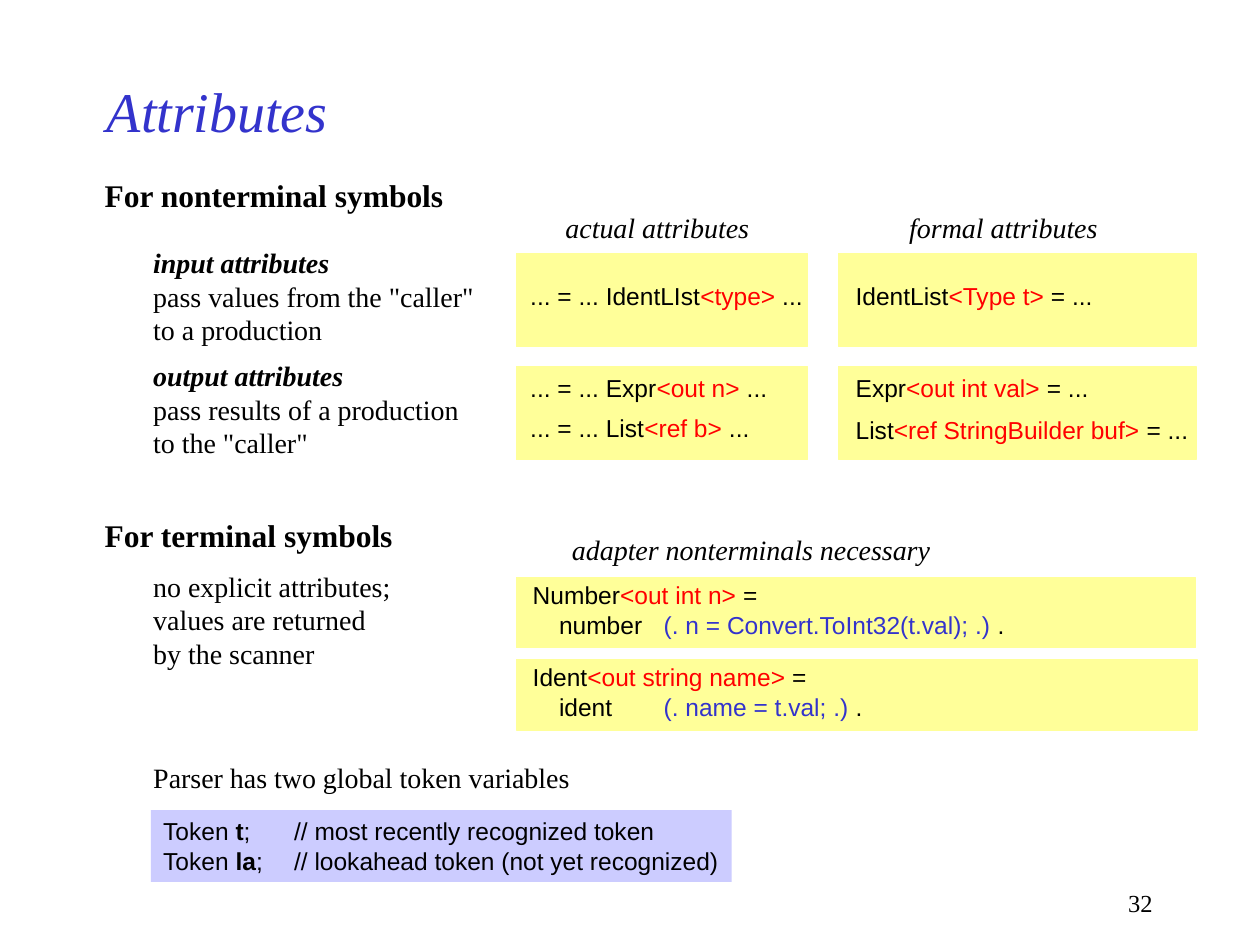
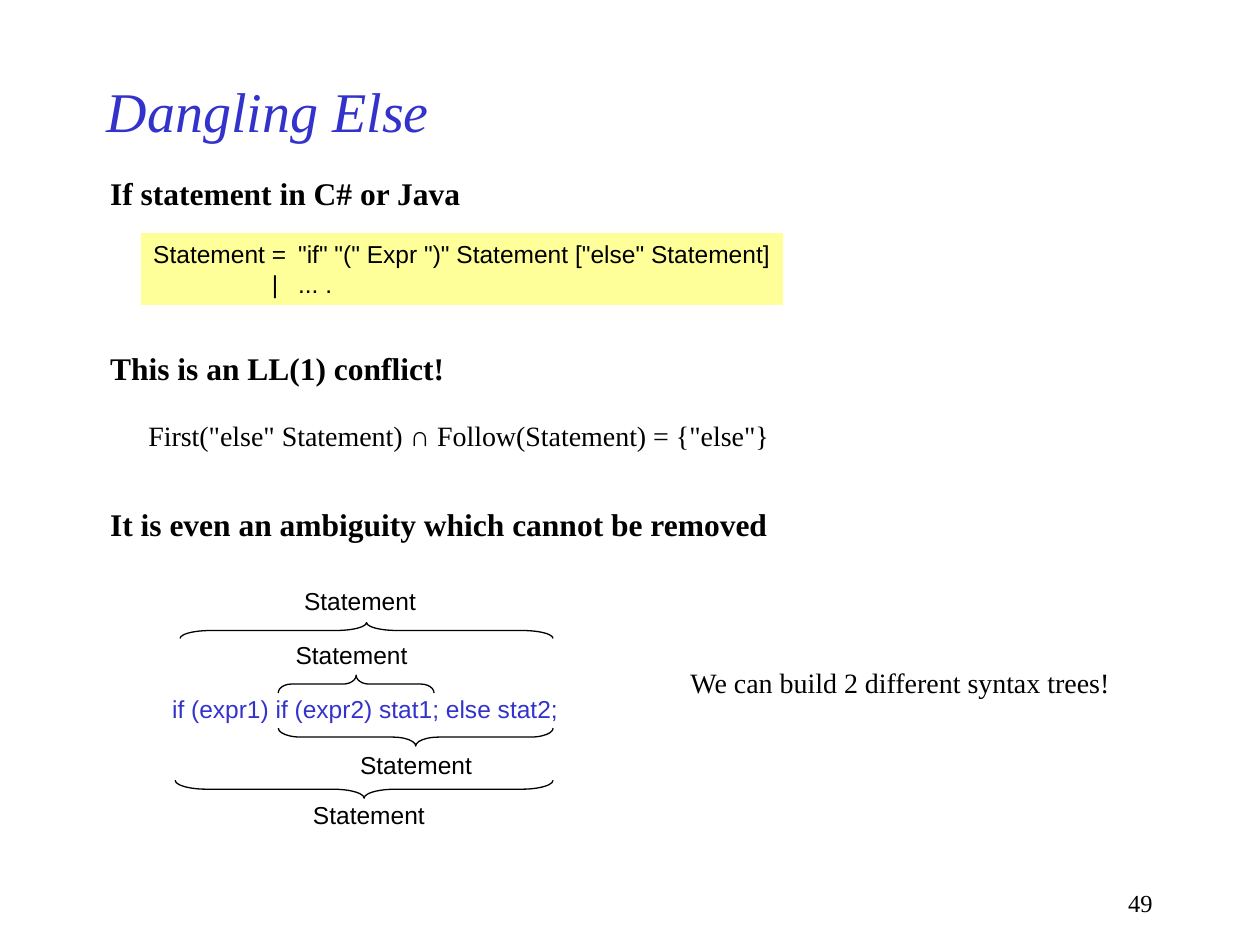
from dataclasses import dataclass
from typing import NamedTuple, Optional, Union

import pptx
import pptx.dml.color
import pptx.enum.shapes
import pptx.enum.text
import pptx.oxml.ns
import pptx.presentation
import pptx.slide
import pptx.text.text
import pptx.util
from lxml import etree

Cm = pptx.util.Cm
Pt = pptx.util.Pt
RGBColor = pptx.dml.color.RGBColor
MSO_SHAPE = pptx.enum.shapes.MSO_SHAPE
PP_ALIGN = pptx.enum.text.PP_ALIGN
MSO_AUTO_SIZE = pptx.enum.text.MSO_AUTO_SIZE

BLACK = RGBColor(0x00, 0x00, 0x00)
BLUE = RGBColor(0x33, 0x33, 0xCC)
RED = RGBColor(0xFF, 0x00, 0x00)
YELLOW = RGBColor(0xFF, 0xFF, 0x99)
LAVENDER = RGBColor(0xCC, 0xCC, 0xFF)

SERIF = "Times New Roman"
SANS = "Arial"
TITLE_ONLY_LAYOUT = 5


class Style(NamedTuple):
    font: str
    size: float
    line_height: float  # cm
    color: RGBColor = BLACK
    bold: bool = False
    italic: bool = False


TITLE = Style(SERIF, 32, 1.3, BLUE, italic=True)
HEADING = Style(SERIF, 18, 0.76, bold=True)
BODY = Style(SERIF, 16, 0.68)
NOTE = BODY._replace(italic=True)
TERM = NOTE._replace(bold=True)
CODE = Style(SANS, 14, 0.6)
CODE_BOLD = CODE._replace(bold=True)
ATTRIBUTE = CODE._replace(color=RED)
ACTION = CODE._replace(color=BLUE)
PAGE_NUMBER = Style(SERIF, 14, 0.6)


class Piece(NamedTuple):
    """A stretch of text that departs from the style of its block."""
    text: str
    style: Style


Line = list[Union[str, Piece]]


@dataclass
class TextBlock:
    left: float
    top: float
    width: float
    style: Style
    lines: list[Line]
    tabs: tuple[float, ...] = ()
    fill: Optional[RGBColor] = None


@dataclass
class Panel:
    left: float
    top: float
    width: float
    height: float


@dataclass
class Brace:
    """A horizontal brace; its tip points up or down."""
    left: float
    top: float
    length: float
    thickness: float
    points_up: bool


def format_run(run: pptx.text.text._Run, style: Style) -> None:
    run.font.name = style.font
    run.font.size = Pt(style.size)
    run.font.bold = style.bold
    run.font.italic = style.italic
    run.font.color.rgb = style.color


def set_tabs(paragraph: pptx.text.text._Paragraph, tabs: tuple[float, ...]) -> None:
    qn = pptx.oxml.ns.qn
    tab_list = etree.SubElement(paragraph._p.get_or_add_pPr(), qn("a:tabLst"))
    for position in tabs:
        etree.SubElement(tab_list, qn("a:tab"), pos=str(int(Cm(position))), algn="l")


def draw_text(slide: pptx.slide.Slide, block: TextBlock) -> None:
    """Draw a block; without a right inset its lines have room not to wrap."""
    height = 0.25 + block.style.line_height * len(block.lines)
    shape = slide.shapes.add_textbox(Cm(block.left), Cm(block.top), Cm(block.width), Cm(height))
    if block.fill is not None:
        shape.fill.solid()
        shape.fill.fore_color.rgb = block.fill
    text_frame = shape.text_frame
    text_frame.word_wrap = True
    text_frame.auto_size = MSO_AUTO_SIZE.NONE
    text_frame.margin_right = Cm(0)
    for index, line in enumerate(block.lines):
        paragraph = text_frame.add_paragraph() if index else text_frame.paragraphs[0]
        if block.tabs:
            set_tabs(paragraph, block.tabs)
        for part in line:
            piece = part if isinstance(part, Piece) else Piece(part, block.style)
            run = paragraph.add_run()
            run.text = piece.text
            format_run(run, piece.style)


def draw_panel(slide: pptx.slide.Slide, panel: Panel) -> None:
    shape = slide.shapes.add_shape(
        MSO_SHAPE.RECTANGLE, Cm(panel.left), Cm(panel.top), Cm(panel.width), Cm(panel.height))
    shape.shadow.inherit = False
    shape.fill.solid()
    shape.fill.fore_color.rgb = YELLOW
    shape.line.color.rgb = YELLOW
    shape.line.width = Pt(0.75)


def draw_brace(slide: pptx.slide.Slide, brace: Brace) -> None:
    """Turn an upright brace about its centre so that it lies flat."""
    shift = (brace.length - brace.thickness) / 2
    shape = slide.shapes.add_shape(
        MSO_SHAPE.RIGHT_BRACE, Cm(brace.left + shift), Cm(brace.top - shift),
        Cm(brace.thickness), Cm(brace.length))
    shape.rotation = 270 if brace.points_up else 90
    shape.adjustments[0] = brace.length / brace.thickness / 12
    shape.shadow.inherit = False
    shape.fill.background()
    shape.line.color.rgb = BLACK
    shape.line.width = Pt(0.75)


def add_titled_slide(presentation: pptx.presentation.Presentation,
                     title: str, number: int) -> pptx.slide.Slide:
    slide = presentation.slides.add_slide(presentation.slide_layouts[TITLE_ONLY_LAYOUT])
    placeholder = slide.shapes.title
    placeholder.left, placeholder.top = Cm(1.9), Cm(1.27)
    placeholder.width, placeholder.height = Cm(19.05), Cm(1.9)
    number_box = slide.shapes.add_textbox(Cm(18.21), Cm(17.78), Cm(5.28), Cm(0.84))
    for shape, text, style, alignment in (
            (placeholder, title, TITLE, PP_ALIGN.LEFT),
            (number_box, str(number), PAGE_NUMBER, PP_ALIGN.RIGHT)):
        text_frame = shape.text_frame
        text_frame.text = text
        text_frame.word_wrap = True
        text_frame.auto_size = MSO_AUTO_SIZE.NONE
        paragraph = text_frame.paragraphs[0]
        paragraph.alignment = alignment
        format_run(paragraph.runs[0], style)
    placeholder.text_frame.vertical_anchor = pptx.enum.text.MSO_ANCHOR.MIDDLE
    return slide


def build_attributes(presentation: pptx.presentation.Presentation) -> None:
    slide = add_titled_slide(presentation, "Attributes", 32)

    heading_left, body_left, panel_left = 1.86, 2.84, 10.41
    actual_left, formal_left, adapter_left = 10.44, 17.0, 10.49
    input_top, output_top = 5.11, 7.39
    adapter_tabs = (0.53, 2.64)

    for top in (input_top, output_top):
        for left, width in ((panel_left, 5.87), (16.91, 7.2)):
            draw_panel(slide, Panel(left, top, width, 1.88))
    for top, width in ((11.64, 13.69), (13.3, 13.72)):
        draw_panel(slide, Panel(panel_left, top, width, 1.42))

    blocks = [
        TextBlock(heading_left, 3.43, 7.34, HEADING, [["For nonterminal symbols"]]),
        TextBlock(11.15, 4.11, 4.22, NOTE, [["actual attributes"]]),
        TextBlock(18.08, 4.11, 4.29, NOTE, [["formal attributes"]]),
        TextBlock(body_left, 4.83, 6.96, BODY, [
            [Piece("input attributes", TERM)],
            ['pass values from the "caller"'],
            ["to a production"]]),
        TextBlock(body_left, 7.11, 6.65, BODY, [
            [Piece("output attributes", TERM)],
            ["pass results of a production"],
            ['to the "caller"']]),
        TextBlock(actual_left, 5.54, 5.99, CODE,
                  [["... = ... IdentLIst", Piece("<type> ", ATTRIBUTE), "..."]]),
        TextBlock(formal_left, 5.54, 5.31, CODE,
                  [["IdentList", Piece("<Type t>", ATTRIBUTE), " = ..."]]),
        TextBlock(actual_left, output_top, 5.28, CODE,
                  [["... = ... Expr", Piece("<out n> ", ATTRIBUTE), "..."]]),
        TextBlock(formal_left, output_top, 5.21, CODE,
                  [["Expr", Piece("<out int val>", ATTRIBUTE), " = ..."]]),
        TextBlock(actual_left, 8.2, 4.93, CODE,
                  [["... = ... List", Piece("<ref b> ", ATTRIBUTE), "..."]]),
        TextBlock(formal_left, 8.24, 7.21, CODE,
                  [["List", Piece("<ref StringBuilder buf>", ATTRIBUTE), " = ..."]]),
        TextBlock(heading_left, 10.27, 6.32, HEADING, [["For terminal symbols"]]),
        TextBlock(11.28, 10.62, 7.72, NOTE, [["adapter nonterminals necessary"]]),
        TextBlock(body_left, 11.35, 5.28, BODY, [
            ["no explicit attributes;"], ["values are returned"], ["by the scanner"]]),
        TextBlock(adapter_left, 11.57, 10.06, CODE, [
            ["Number", Piece("<out int n>", ATTRIBUTE), " ="],
            ["\tnumber\t", Piece("(. n = Convert.ToInt32(t.val); .)", ACTION), " ."]],
            adapter_tabs),
        TextBlock(adapter_left, 13.23, 7.16, CODE, [
            ["Ident", Piece("<out string name>", ATTRIBUTE), " ="],
            ["\tident\t", Piece("(. name = t.val; .)", ACTION), " ."]],
            adapter_tabs),
        TextBlock(body_left, 15.2, 8.89, BODY, [["Parser has two global token variables"]]),
        TextBlock(3.04, 16.33, 11.71, CODE, [
            ["Token ", Piece("t", CODE_BOLD), ";\t// most recently recognized token"],
            ["Token ", Piece("la", CODE_BOLD),
             ";\t// lookahead token (not yet recognized)"]],
            (2.64,), LAVENDER),
    ]
    for block in blocks:
        draw_text(slide, block)


def build_dangling_else(presentation: pptx.presentation.Presentation) -> None:
    slide = add_titled_slide(presentation, "Dangling Else", 49)

    heading_left = 1.97
    blocks = [
        TextBlock(heading_left, 3.38, 7.57, HEADING, [["If statement in C# or Java"]]),
        TextBlock(2.84, 4.7, 12.95, CODE, [
            ['Statement\t=\t"if" "(" Expr ")" Statement ["else" Statement]'],
            ["\t|\t... ."]],
            (2.39, 2.92), YELLOW),
        TextBlock(heading_left, 6.91, 7.24, HEADING, [["This is an LL(1) conflict!"]]),
        TextBlock(2.74, 8.31, 13.06, BODY, [
            ['First("else" Statement) ', Piece("∩", BODY._replace(font=SANS)),
             ' Follow(Statement) = {"else"}']]),
        TextBlock(heading_left, 10.06, 13.77, HEADING,
                  [["It is even an ambiguity which cannot be removed"]]),
        TextBlock(3.22, 13.87, 8.28, ACTION, [["if (expr1) if (expr2) stat1; else stat2;"]]),
        TextBlock(13.67, 13.29, 9.02, BODY, [["We can build 2 different syntax trees!"]]),
    ]
    statement_positions = ((5.88, 11.68), (5.71, 12.78), (7.01, 14.99), (6.06, 16.01))
    blocks += [TextBlock(left, top, 2.77, CODE, [["Statement"]])
               for left, top in statement_positions]
    for block in blocks:
        draw_text(slide, block)

    for brace in (
            Brace(3.63, 12.55, 7.52, 0.32, True),
            Brace(5.61, 13.61, 3.14, 0.36, True),
            Brace(5.61, 14.68, 5.54, 0.36, False),
            Brace(3.53, 15.73, 7.62, 0.36, False)):
        draw_brace(slide, brace)


def main() -> None:
    presentation = pptx.Presentation()
    presentation.slide_width, presentation.slide_height = Cm(25.4), Cm(19.05)
    build_attributes(presentation)
    build_dangling_else(presentation)
    presentation.save("out.pptx")


if __name__ == "__main__":
    main()
